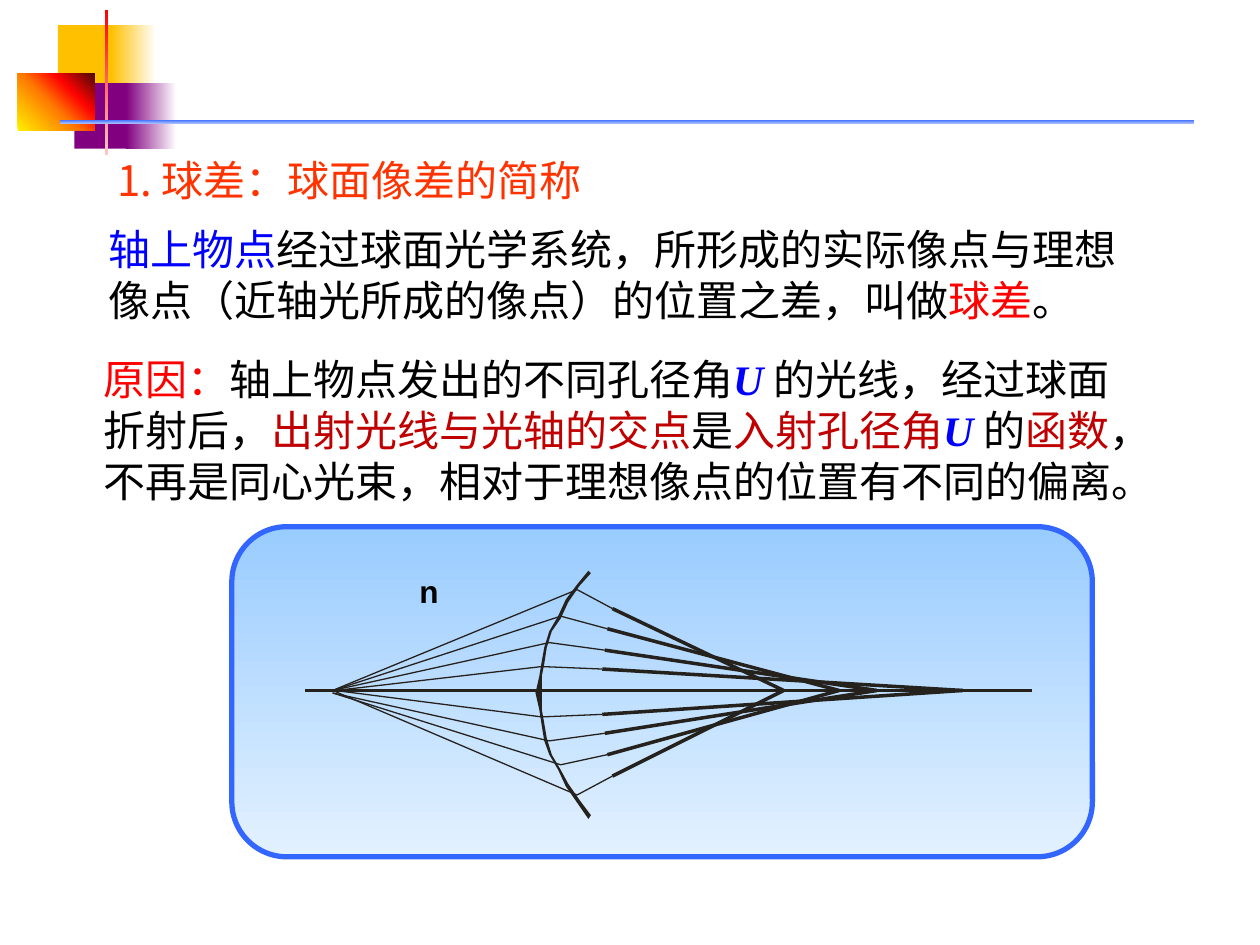
from dataclasses import dataclass
from typing import NamedTuple

from lxml import etree
from pptx import Presentation
from pptx import util as u
from pptx.dml.color import RGBColor
from pptx.enum import shapes, text
from pptx.oxml.ns import qn


@dataclass(frozen=True)
class Theme:
    cjk: str = "Noto Sans CJK SC"
    latin: str = "Arial"
    symbol: str = "Times New Roman"
    body_size: float = 24
    label_size: float = 18
    line_pitch: float = 29.2
    black: str = "000000"
    white: str = "FFFFFF"
    heading: str = "FF3300"
    blue: str = "0000FF"
    red: str = "FF0000"
    dark_red: str = "C00000"
    gold: str = "FFC000"
    purple: str = "800080"
    frame: str = "3366FF"
    ink: str = "25221E"


THEME = Theme()


class Stop(NamedTuple):
    position: int
    color: str


class Block(NamedTuple):
    left: float
    top: float
    width: float
    height: float
    stops: tuple[Stop, ...]
    angle: float = 0


class Run(NamedTuple):
    text: str
    color: str = THEME.black
    font: str = THEME.cjk
    bold: bool = False
    italic: bool = False


class Ray(NamedTuple):
    source: tuple[float, float]
    surface: tuple[float, float]
    exit: tuple[float, float]
    focus_x: float


def fade(start: str, end: str) -> tuple[Stop, ...]:
    return Stop(0, start), Stop(100, end)


def rgb(color: str) -> RGBColor:
    return RGBColor.from_string(color)


def paint(shape, stops: tuple[Stop, ...], angle: float) -> None:
    if len(stops) == 1:
        shape.fill.solid()
        shape.fill.fore_color.rgb = rgb(stops[0].color)
        return
    shape.fill.gradient()
    shape.fill.gradient_angle = -angle % 360
    stop_list = shape._element.spPr.find(qn("a:gradFill")).find(qn("a:gsLst"))
    for child in list(stop_list):
        stop_list.remove(child)
    for stop in stops:
        element = etree.SubElement(stop_list, qn("a:gs"), pos=str(stop.position * 1000))
        etree.SubElement(element, qn("a:srgbClr"), val=stop.color)


def add_block(slide, block: Block, kind=shapes.MSO_SHAPE.RECTANGLE):
    shape = slide.shapes.add_shape(kind, *map(u.Inches, block[:4]))
    shape.shadow.inherit = False
    shape.line.fill.background()
    paint(shape, block.stops, block.angle)
    return shape


def write(shape, box: tuple[float, ...], runs: list[Run], *,
          size: float = THEME.body_size, pitch: float | None = THEME.line_pitch,
          top_inset: float = 0.07) -> None:
    shape.left, shape.top, shape.width, shape.height = map(u.Inches, box)
    frame = shape.text_frame
    frame.word_wrap = True
    frame.auto_size = text.MSO_AUTO_SIZE.SHAPE_TO_FIT_TEXT
    frame.vertical_anchor = text.MSO_ANCHOR.TOP
    frame.margin_left = frame.margin_right = u.Inches(0.1)
    frame.margin_top = u.Inches(top_inset)
    frame.margin_bottom = u.Inches(0.1 - top_inset)
    paragraph = frame.paragraphs[0]
    paragraph.alignment = text.PP_ALIGN.LEFT
    paragraph.space_before = u.Pt(0)
    if pitch:
        paragraph.line_spacing = u.Pt(pitch)
    for item in runs:
        run = paragraph.add_run()
        run.text = item.text
        font = run.font
        font.name, font.size = item.font, u.Pt(size)
        font.bold, font.italic = item.bold, item.italic
        font.color.rgb = rgb(item.color)
        etree.SubElement(run._r.get_or_add_rPr(), qn("a:ea"), typeface=item.font)


def add_text(slide, box: tuple[float, ...], runs: list[Run], **formatting) -> None:
    write(slide.shapes.add_textbox(*map(u.Inches, box)), box, runs, **formatting)


def add_outline(slide, points: list[tuple[float, float]], close: bool):
    places = [(u.Inches(x), u.Inches(y)) for x, y in points]
    builder = slide.shapes.build_freeform(*places[0])
    builder.add_line_segments(places[1:], close=close)
    shape = builder.convert_to_shape()
    shape.shadow.inherit = False
    return shape


def hairline(shape) -> None:
    shape.line.color.rgb = rgb(THEME.ink)
    shape.line.width = u.Pt(0)


def add_line(slide, start: tuple[float, float], end: tuple[float, float]) -> None:
    line = slide.shapes.add_connector(
        shapes.MSO_CONNECTOR.STRAIGHT, *map(u.Inches, (*start, *end)))
    hairline(line)
    etree.SubElement(line._element.spPr, qn("a:effectLst"))


def add_ray(slide, ray: Ray) -> None:
    incident = add_outline(slide, [ray.source, ray.surface, ray.exit], close=False)
    incident.fill.background()
    hairline(incident)
    add_line(slide, ray.exit, (ray.focus_x, AXIS_Y))


AXIS_Y = 5.48
DECORATION = [
    Block(0.46, 0.2, 0.48, 0.52, (Stop(0, THEME.gold),)),
    Block(0.88, 0.2, 0.36, 0.52, fade(THEME.gold, THEME.white)),
    Block(0.59, 0.66, 0.46, 0.52, (Stop(0, THEME.purple),)),
    Block(1, 0.66, 0.4, 0.52, fade(THEME.purple, THEME.white)),
    Block(0.14, 0.58, 0.61, 0.46, (Stop(0, "FFF200"), Stop(45, "FF7A00"),
                                   Stop(70, "FF0300"), Stop(100, "4D0808")), 315),
    Block(0.83, 0.08, 0.03, 1.15, fade(THEME.red, "FFC9C9"), 90),
    Block(0.48, 0.95, 9, 0.03, fade(THEME.frame, "A2B9FF"), 90),
]
PANEL = Block(1.84, 4.18, 6.83, 2.62, fade("99CCFF", "E3F1FF"), 90)
REFRACTING_SURFACE = [
    (4.69, 6.47), (4.6, 6.35), (4.51, 6.22), (4.45, 6.11), (4.38, 5.99), (4.34, 5.86),
    (4.32, 5.74), (4.3, 5.63), (4.3, 5.5), (4.3, 5.37), (4.32, 5.27), (4.34, 5.14),
    (4.38, 5.01), (4.45, 4.91), (4.51, 4.78), (4.6, 4.65), (4.69, 4.55), (4.67, 4.53),
    (4.58, 4.64), (4.49, 4.76), (4.43, 4.89), (4.36, 5.01), (4.32, 5.14), (4.3, 5.25),
    (4.28, 5.37), (4.25, 5.5), (4.28, 5.63), (4.3, 5.76), (4.32, 5.88), (4.36, 5.99),
    (4.43, 6.11), (4.49, 6.24), (4.58, 6.37), (4.67, 6.5),
]
RAYS = [
    Ray((2.64, 5.48), (4.58, 4.68), (4.86, 4.83), 6.22),
    Ray((2.64, 5.48), (4.58, 6.31), (4.86, 6.16), 6.22),
    Ray((2.64, 5.48), (4.45, 4.89), (4.82, 4.99), 6.66),
    Ray((2.64, 5.5), (4.45, 6.07), (4.82, 5.99), 6.66),
    Ray((2.64, 5.48), (4.36, 5.1), (4.8, 5.16), 6.96),
    Ray((2.64, 5.5), (4.36, 5.88), (4.8, 5.82), 6.96),
    Ray((2.66, 5.48), (4.3, 5.29), (4.78, 5.31), 7.64),
    Ray((2.66, 5.48), (4.3, 5.69), (4.78, 5.67), 7.64),
]
APERTURE = Run("U ", THEME.blue, THEME.symbol, True, True)
DEFINITION = [
    Run("轴上物点", THEME.blue),
    Run("经过球面光学系统，所形成的实际像点与理想像点（近轴光所成的像点）的位置之差，叫做"),
    Run("球差", THEME.red),
    Run("。"),
]
CAUSE = [
    Run("原因：", THEME.red), Run("轴上物点发出的不同孔径角"), APERTURE,
    Run("的光线，经过球面折射后，"), Run("出射光线与光轴的交点", THEME.dark_red),
    Run("是"), Run("入射孔径角", THEME.dark_red), APERTURE, Run("的"),
    Run("函数", THEME.dark_red),
    Run("，不再是同心光束，相对于理想像点的位置有不同的偏离。"),
]


def main() -> None:
    presentation = Presentation()
    presentation.slide_width, presentation.slide_height = u.Inches(10), u.Inches(7.5)
    slide = presentation.slides.add_slide(presentation.slide_layouts[5])
    for block in DECORATION:
        add_block(slide, block)
    write(slide.shapes.title, (0.83, 1.15, 4, 0.5),
          [Run("1. 球差：球面像差的简称", THEME.heading)])
    add_text(slide, (0.76, 1.7, 8.5, 0.91), DEFINITION)
    panel = add_block(slide, PANEL, shapes.MSO_SHAPE.ROUNDED_RECTANGLE)
    panel.line.color.rgb = rgb(THEME.frame)
    panel.line.width = u.Pt(3)
    surface = add_outline(slide, REFRACTING_SURFACE, close=True)
    paint(surface, (Stop(0, THEME.ink),), 0)
    surface.line.fill.background()
    add_line(slide, (2.42, AXIS_Y), (8.19, AXIS_Y))
    for ray in RAYS:
        add_ray(slide, ray)
    add_text(slide, (3.23, 4.49, 0.64, 0.48), [Run("n", font=THEME.latin, bold=True)],
             size=THEME.label_size, pitch=None, top_inset=0.05)
    add_text(slide, (0.72, 2.73, 8.5, 1.31), CAUSE)
    presentation.save("out.pptx")


if __name__ == "__main__":
    main()
